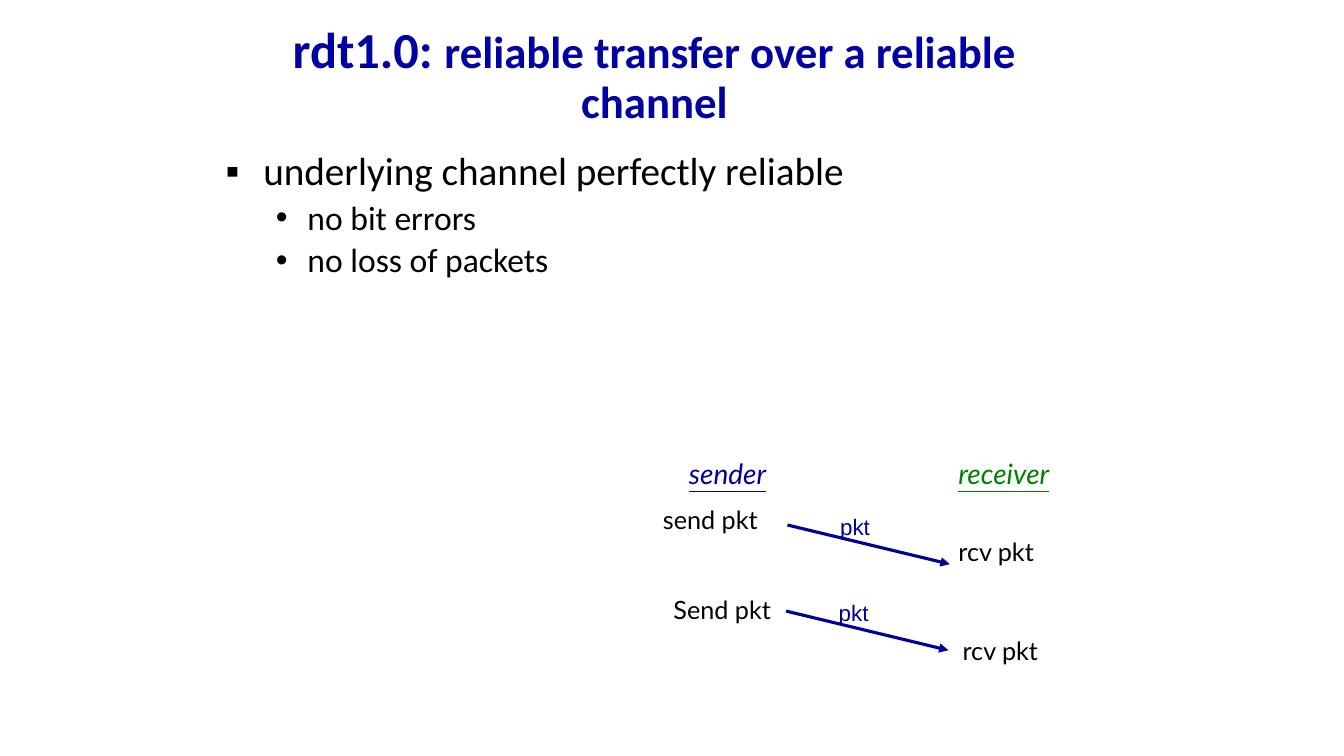
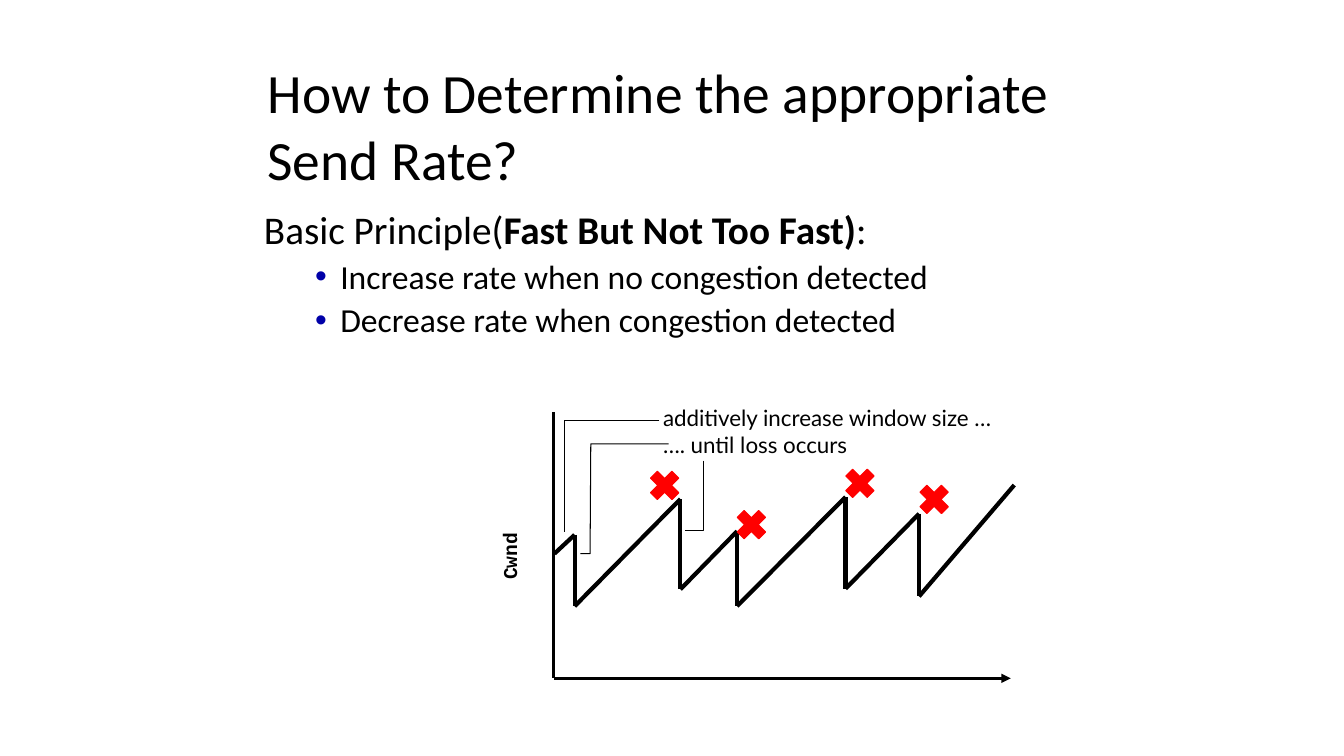
from dataclasses import dataclass
from itertools import pairwise

from lxml.etree import SubElement
from pptx import Presentation
from pptx.dml.color import RGBColor as Color
from pptx.enum.shapes import MSO_CONNECTOR as Connector, MSO_SHAPE as Shape
from pptx.enum.text import MSO_ANCHOR as Anchor, PP_ALIGN as Align
from pptx.oxml.ns import qn
from pptx.util import Pt


@dataclass(frozen=True)
class Theme:
    """Colours, fonts and type sizes shared by the slides."""

    black: str = "000000"
    white: str = "FFFFFF"
    title_blue: str = "0000A3"
    bullet_blue: str = "0000A8"
    sender_blue: str = "000099"
    receiver_green: str = "008000"
    loss_red: str = "FF0000"
    main_font: str = "Calibri"
    label_font: str = "Lato"
    packet_font: str = "Arial"
    axis_font: str = "Courier New"
    question_size: float = 39.6
    title_size: float = 36
    subtitle_size: float = 32
    body_size: float = 28
    bullet_size: float = 24
    heading_size: float = 20
    label_size: float = 18
    note_size: float = 16
    axis_size: float = 14


THEME = Theme()


def write(paragraph, text, size=THEME.label_size, font=THEME.main_font,
          color=THEME.black, bold=False, italic=False, underline=False):
    """Append one formatted run to a paragraph."""
    run = paragraph.add_run()
    run.text = text
    run.font.size = Pt(size)
    run.font.name = font
    run.font.color.rgb = Color.from_string(color)
    run.font.bold, run.font.italic, run.font.underline = bold, italic, underline


def add_box(slide, left, top, width, height, anchor=Anchor.TOP):
    """Add an empty wrapping text box."""
    shape = slide.shapes.add_textbox(Pt(left), Pt(top), Pt(width), Pt(height))
    shape.text_frame.word_wrap = True
    shape.text_frame.vertical_anchor = anchor
    return shape


def add_label(slide, left, top, width, height, *lines, **text_format):
    """Add a text box with one paragraph per line and return it."""
    shape = add_box(slide, left, top, width, height)
    frame = shape.text_frame
    for index, line in enumerate(lines):
        paragraph = frame.add_paragraph() if index else frame.paragraphs[0]
        write(paragraph, line, **text_format)
    return shape


def add_title(slide, left, top, width, height, runs, align=Align.LEFT, spacing=1.0):
    """Add a vertically centred title made of text and format pairs."""
    paragraph = add_box(slide, left, top, width, height, Anchor.MIDDLE).text_frame.paragraphs[0]
    paragraph.alignment = align
    paragraph.line_spacing = spacing
    for text, text_format in runs:
        write(paragraph, text, **text_format)


def set_bullet(paragraph, character, margin, hanging, color):
    """Give a paragraph a coloured bullet with a hanging indent."""
    properties = paragraph._p.get_or_add_pPr()
    properties.set("marL", str(Pt(margin)))
    properties.set("indent", str(-Pt(hanging)))
    bullet_color = SubElement(properties, qn("a:buClr"))
    SubElement(bullet_color, qn("a:srgbClr"), val=color)
    SubElement(properties, qn("a:buFont"), typeface="Arial")
    SubElement(properties, qn("a:buChar"), char=character)


def add_body(slide, left, top, width, height, lead_runs, items,
             margin, hanging, color, space, lead_bullet=None):
    """Add a lead paragraph followed by second-level bullets."""
    frame = add_box(slide, left, top, width, height).text_frame
    lead = frame.paragraphs[0]
    lead.line_spacing = 0.9
    if lead_bullet:
        set_bullet(lead, lead_bullet, 27, 27, color)
    for text, bold in lead_runs:
        write(lead, text, size=THEME.body_size, bold=bold)
    for item in items:
        paragraph = frame.add_paragraph()
        paragraph.level = 1
        paragraph.line_spacing = 0.9
        paragraph.space_before = Pt(space)
        set_bullet(paragraph, "•", margin, hanging, color)
        write(paragraph, item, size=THEME.bullet_size)


def add_line(slide, start, end, color=THEME.black, width=2.25, arrow=False):
    """Add a straight connector, optionally with an arrowhead at its end."""
    line = slide.shapes.add_connector(Connector.STRAIGHT, *map(Pt, (*start, *end)))
    line.line.color.rgb = Color.from_string(color)
    line.line.width = Pt(width)
    if arrow:
        SubElement(line.line._get_or_add_ln(), qn("a:tailEnd"), type="triangle")
    SubElement(line._element.spPr, qn("a:effectLst"))


def add_leader(slide, points):
    """Add a thin open outline through the points."""
    start, *others = [tuple(map(Pt, point)) for point in points]
    builder = slide.shapes.build_freeform(*start)
    builder.add_line_segments(others, close=False)
    shape = builder.convert_to_shape()
    shape.shadow.inherit = False
    shape.fill.background()
    shape.line.color.rgb = Color.from_string(THEME.black)
    shape.line.width = Pt(0.75)


def add_loss_mark(slide, left, top, size=29.5):
    """Add a red cross that marks a loss."""
    shape = slide.shapes.add_shape(Shape.MATH_MULTIPLY, Pt(left), Pt(top), Pt(size), Pt(size))
    shape.shadow.inherit = False
    shape.fill.solid()
    shape.fill.fore_color.rgb = Color.from_string(THEME.loss_red)
    shape.line.color.rgb = Color.from_string(THEME.loss_red)
    shape.line.width = Pt(0.75)


def add_packet(slide, left, top):
    """Add a sloping packet arrow with its label."""
    add_line(slide, (left, top), (left + 116, top + 28), THEME.sender_blue, arrow=True)
    add_label(slide, left + 30.5, top - 12, 40, 26.5, "pkt", size=THEME.note_size,
              font=THEME.packet_font, color=THEME.sender_blue)


def build_transfer_slide(slide):
    """Build the slide on transfer over a reliable channel."""
    title_format = dict(color=THEME.title_blue, bold=True)
    add_title(slide, 152.5, 15, 630, 79, [
        ("rdt1.0: ", dict(size=THEME.title_size, **title_format)),
        ("reliable transfer over a reliable channel",
         dict(size=THEME.subtitle_size, **title_format)),
    ], Align.CENTER, 0.9)
    add_body(slide, 154, 105, 622, 238, [("underlying channel perfectly reliable", False)],
             ["no bit errors", "no loss of packets"],
             58.5, 22.5, THEME.black, 4.8, lead_bullet="▪")
    for left, text, color in ((485, "sender", THEME.sender_blue),
                              (677.5, "receiver", THEME.receiver_green)):
        add_label(slide, left, 322.5, 86, 31.5, text, size=THEME.heading_size,
                  font=THEME.label_font, color=color, italic=True, underline=True)
    for left, top, text in ((466.5, 357, "send pkt"), (474, 421, "Send pkt"),
                            (677.5, 379.5, "rcv pkt"), (680.5, 450, "rcv pkt")):
        add_label(slide, left, top, 86, 29, text, font=THEME.label_font)
    add_packet(slide, 562.5, 375)
    add_packet(slide, 561.5, 436.5)


def build_rate_slide(slide):
    """Build the slide on choosing the send rate."""
    add_title(slide, 184, 44, 612, 90, [
        ("How to Determine the appropriate Send Rate?", dict(size=THEME.question_size)),
    ])
    add_body(slide, 181.5, 147, 596, 324,
             [("Basic Principle(", False), ("Fast But Not Too Fast)", True), (":", False)],
             ["Increase rate when no congestion detected",
              "Decrease rate when congestion detected"],
             54.5, 18, THEME.bullet_blue, 5)

    axis_label = add_label(slide, 340, 385, 48, 24.5, "Cwnd", size=THEME.axis_size,
                           font=THEME.axis_font, bold=True)
    axis_label.rotation = 270
    axis_label.fill.solid()
    axis_label.fill.fore_color.rgb = Color.from_string(THEME.white)
    add_line(slide, (395.5, 484.5), (722, 484.5), arrow=True)
    add_line(slide, (395.5, 294.5), (395.5, 484.5))

    window_sizes = [(396, 395.5), (410.5, 382), (410.5, 433), (486, 356.5),
                    (486, 421), (526.5, 379.5), (526.5, 433), (604, 355),
                    (604, 420.5), (656.5, 367), (656.5, 426), (724.5, 346.5)]
    for start, end in pairwise(window_sizes):
        add_line(slide, start, end, width=3)

    add_label(slide, 466.5, 285, 254, 46, "additively increase window size …",
              "…. until loss occurs", size=THEME.note_size, font=THEME.label_font)
    for points in ([(471, 300.5), (403, 300.5), (403, 380)],
                   [(477.5, 317), (422, 317), (421.5, 395.5), (414.5, 395.5)],
                   [(502.5, 329), (502.5, 379), (489.5, 379)]):
        add_leader(slide, points)
    for left, top in ((460, 332), (599.5, 330.5), (522, 360), (652.5, 342)):
        add_loss_mark(slide, left, top)


def main():
    """Build and save the presentation."""
    presentation = Presentation()
    presentation.slide_width, presentation.slide_height = Pt(960), Pt(540)
    for build in (build_transfer_slide, build_rate_slide):
        build(presentation.slides.add_slide(presentation.slide_layouts[6]))
    presentation.save("out.pptx")


if __name__ == "__main__":
    main()
